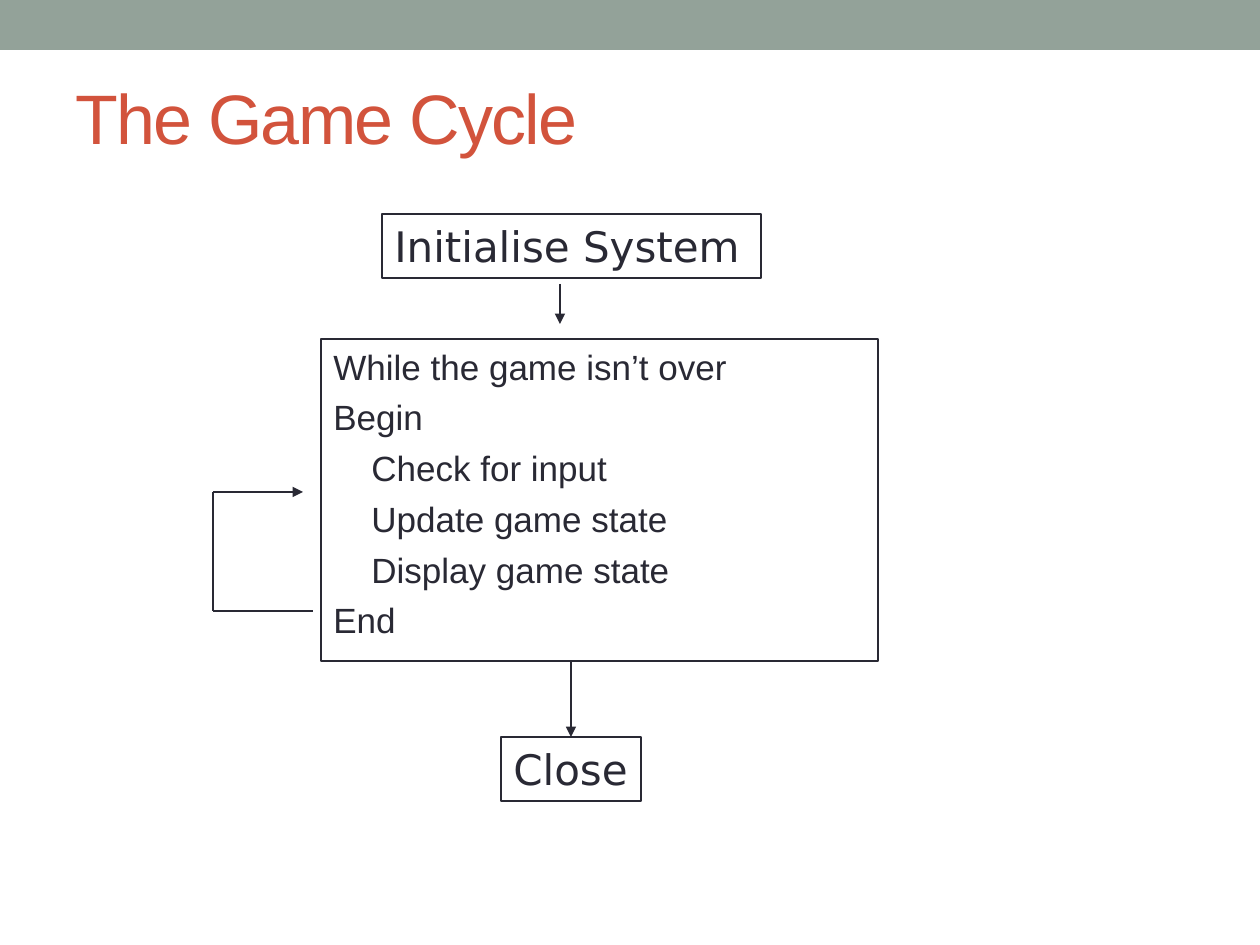
from lxml import etree
from pptx import Presentation
from pptx.dml.color import RGBColor
from pptx.enum.shapes import MSO_CONNECTOR, MSO_SHAPE
from pptx.enum.text import MSO_ANCHOR, PP_ALIGN
from pptx.oxml.ns import qn
from pptx.util import Emu, Pt

PX = 914400 // 126
RECTANGLE = MSO_SHAPE.RECTANGLE
STRAIGHT = MSO_CONNECTOR.STRAIGHT
LEFT = PP_ALIGN.LEFT
TOP, MIDDLE = MSO_ANCHOR.TOP, MSO_ANCHOR.MIDDLE
INK, ACCENT, BAND = "292934", "D2533C", "93A299"
INDENT, HANGING = 38, 25

TITLE = "The Game Cycle"
START = "Initialise System"
END = "Close"
# (indent level, text)
GAME_LOOP = [
    (0, "While the game isn’t over"),
    (0, "Begin"),
    (1, "Check for input"),
    (1, "Update game state"),
    (1, "Display game state"),
    (0, "End"),
]
# Corners of the path that leads from the end of the loop back into it
LOOP_BACK = [(313, 611), (213, 611), (213, 492), (303, 492)]
START_ARROW = [(560, 284), (560, 324)]
CLOSE_ARROW = [(571, 661), (571, 737)]


def px(*lengths):
    return [Emu(length * PX) for length in lengths]


def color(value):
    return RGBColor.from_string(value)


def add_box(slide, area, fill=None, line=None):
    box = slide.shapes.add_shape(RECTANGLE, *px(*area))
    box.shadow.inherit = False
    if fill:
        box.fill.solid()
        box.fill.fore_color.rgb = color(fill)
    else:
        box.fill.background()
    if line:
        box.line.color.rgb = color(line)
        box.line.width = Pt(0.75)
    else:
        box.line.fill.background()
    return box


def write(shape, text, size, font, ink=INK, anchor=TOP):
    frame = shape.text_frame
    frame.word_wrap = True
    frame.vertical_anchor = anchor
    frame.margin_right = 0
    frame.text = text
    for paragraph in frame.paragraphs:
        paragraph.alignment = LEFT
        for run in paragraph.runs:
            run.font.size = Pt(size)
            run.font.name = font
            run.font.color.rgb = color(ink)
    return frame


def add_line(slide, start, end, arrow=False):
    line = slide.shapes.add_connector(STRAIGHT, *px(*start, *end))
    line.line.color.rgb = color(INK)
    line.line.width = Pt(0.75)
    if arrow:
        etree.SubElement(line.line._get_or_add_ln(), qn("a:tailEnd"), type="triangle")
    etree.SubElement(line._element.spPr, qn("a:effectLst"))
    return line


def main():
    prs = Presentation()
    prs.slide_width, prs.slide_height = px(1260, 945)
    slide = prs.slides.add_slide(prs.slide_layouts[6])

    add_box(slide, (0, 0, 1260, 50), fill=BAND)
    title = slide.shapes.add_textbox(*px(63, 38, 1134, 158))
    title_frame = write(title, TITLE, 40, "Arial", ACCENT, MIDDLE)
    title_frame.paragraphs[0].runs[0].font._element.set("spc", "-100")

    loop_box = add_box(slide, (321, 339, 557, 322), line=INK)
    loop_frame = write(loop_box, "\n".join(text for _, text in GAME_LOOP), 20, "Arial")
    for paragraph, (level, _) in zip(loop_frame.paragraphs, GAME_LOOP):
        paragraph.level = level
        paragraph.space_before = Pt(5)
        properties = paragraph._p.get_or_add_pPr()
        properties.set("marL", str((HANGING + level * INDENT) * PX))
        properties.set("indent", str(-HANGING * PX))

    start_box = add_box(slide, (382, 214, 379, 64), line=INK)
    close_box = add_box(slide, (501, 737, 140, 64), line=INK)
    for box, text in ((start_box, START), (close_box, END)):
        write(box, text, 24, "DejaVu Sans")

    for start, end in zip(LOOP_BACK, LOOP_BACK[1:]):
        add_line(slide, start, end, arrow=end == LOOP_BACK[-1])
    add_line(slide, *START_ARROW, arrow=True)
    add_line(slide, *CLOSE_ARROW, arrow=True).end_connect(close_box, 0)

    prs.save("out.pptx")


if __name__ == "__main__":
    main()
